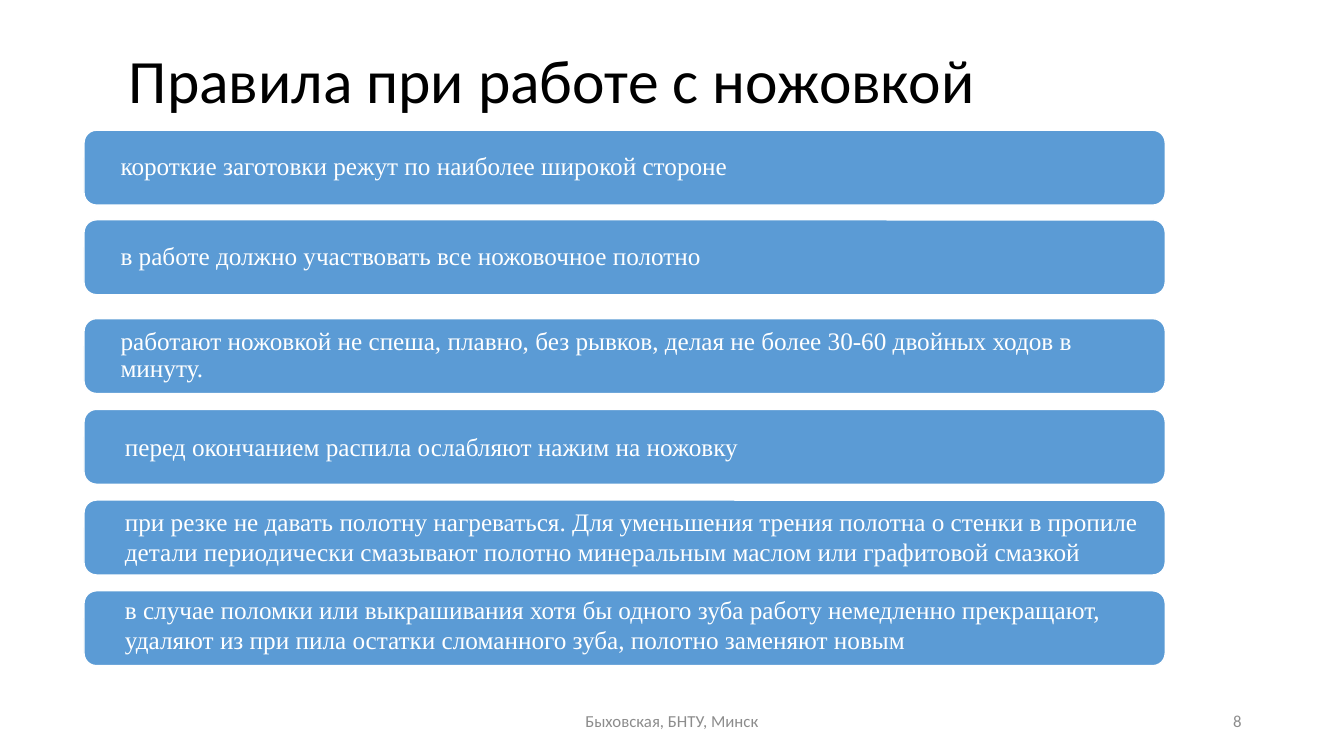
from pptx import Presentation
from pptx.dml.color import RGBColor
from pptx.enum.shapes import MSO_SHAPE
from pptx.enum.text import MSO_ANCHOR, PP_ALIGN
from pptx.util import Pt

ROUND = MSO_SHAPE.ROUNDED_RECTANGLE
MIDDLE = MSO_ANCHOR.MIDDLE
LEFT, CENTER, RIGHT = PP_ALIGN.LEFT, PP_ALIGN.CENTER, PP_ALIGN.RIGHT

# Content
# text, box (left, top, width, height), size, colour, alignment, line spacing
LABELS = [
    ("Правила при работе с ножовкой", (85, 32.4, 792, 54.7), 44, "000000", LEFT, 0.9),
    ("Быховская, БНТУ, Минск", (318, 500.5, 324, 28.8), 12, "8C8C8C", CENTER, 1),
    ("8", (678, 500.5, 216, 28.8), 12, "8C8C8C", RIGHT, 1),
]
# Each group: top of first bar, step, line spacing, left and right inset, rules.
# Each rule: text, bottom inset
GROUPS = [
    (93, 64, 0.9, 23.5, 23.5, [
        ("короткие заготовки режут по наиболее широкой стороне", 0),
        ("в работе должно участвовать все ножовочное полотно", 0),
    ]),
    (227.6, 64.8, 0.9, 23.5, 23.5, [
        ("работают ножовкой не спеша, плавно, без рывков, делая не более "
         "30-60 двойных ходов в минуту.", 0),
    ]),
    (292.4, 64.8, 1, 26.6, 7.2, [
        ("перед окончанием распила ослабляют нажим на ножовку", 1),
        ("при резке не давать полотну нагреваться. Для уменьшения трения "
         "полотна о стенки в пропиле детали периодически смазывают полотно "
         "минеральным маслом или графитовой смазкой", 2),
        ("в случае поломки или выкрашивания хотя бы одного зуба работу "
         "немедленно прекращают, удаляют из при пила остатки сломанного зуба, "
         "полотно заменяют новым", 5),
    ]),
]
BAR_X, BAR_W, BAR_H = 60, 772.3, 53.5


def color(code):
    return RGBColor.from_string(code)


def write(shape, text, face, size, code, align, space, pads):
    frame = shape.text_frame
    names = ("margin_left", "margin_top", "margin_right", "margin_bottom")
    form = dict(zip(names, map(Pt, pads)), word_wrap=True, vertical_anchor=MIDDLE)
    for name, value in form.items():
        setattr(frame, name, value)
    para = frame.paragraphs[0]
    para.alignment, para.line_spacing = align, space
    run = para.add_run()
    run.text = text
    for name, value in {"name": face, "size": Pt(size)}.items():
        setattr(run.font, name, value)
    run.font.color.rgb = color(code)


deck = Presentation()
deck.slide_width, deck.slide_height = Pt(960), Pt(540)
slide = deck.slides.add_slide(deck.slide_layouts[6])

# Title and footer
for text, box, size, code, align, space in LABELS:
    label = slide.shapes.add_textbox(*map(Pt, box))
    write(label, text, "Calibri", size, code, align, space, (7.2, 3.6, 7.2, 3.6))

# Rule bars
for top, step, space, left, right, rules in GROUPS:
    for i, (text, lift) in enumerate(rules):
        box = (BAR_X, top + i * step, BAR_W, BAR_H)
        bar = slide.shapes.add_shape(ROUND, *map(Pt, box))
        bar.shadow.inherit = False
        bar.fill.solid()
        bar.fill.fore_color.rgb = color("5B9BD5")
        bar.line.color.rgb = color("FFFFFF")
        bar.line.width = Pt(1)
        write(bar, text, "Times New Roman", 18, "FFFFFF", LEFT, space,
              (left, 0, right, lift))

deck.save("out.pptx")
